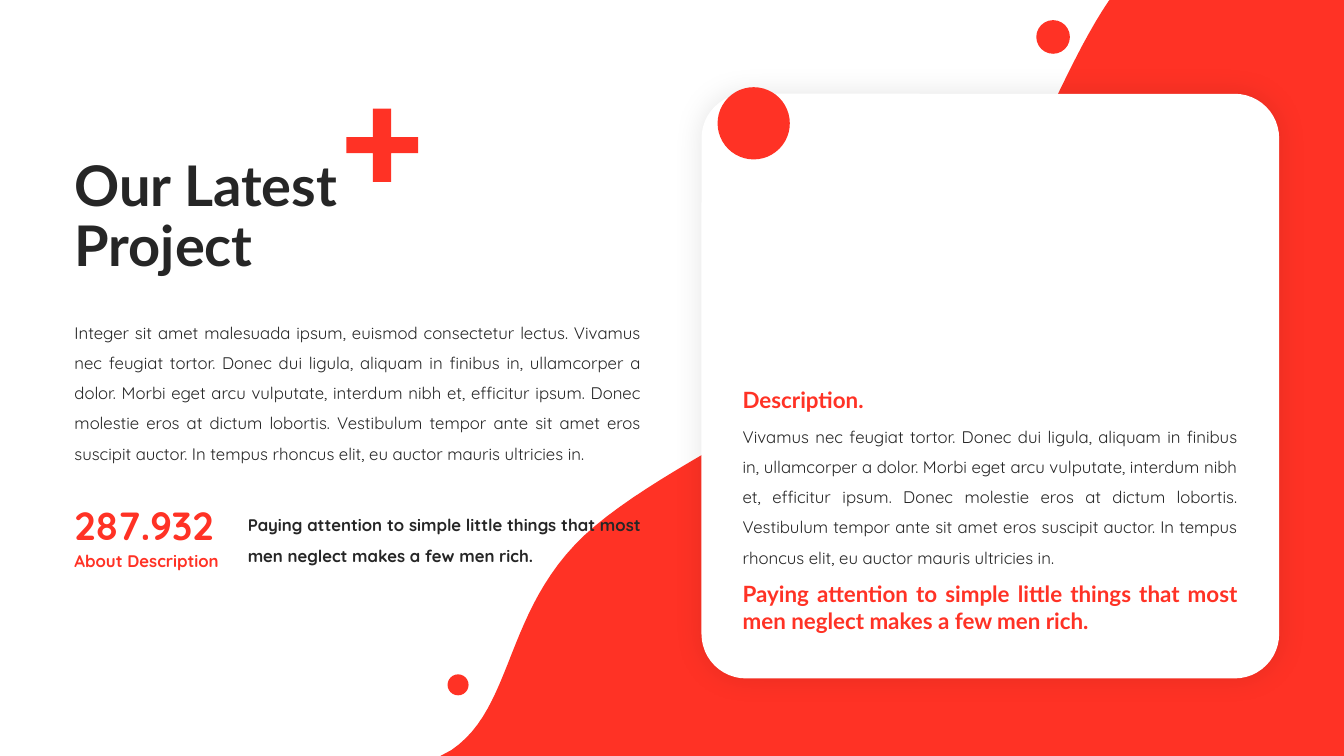
from dataclasses import dataclass, field

from lxml import etree
from pptx import Presentation, util as u
from pptx.dml.color import RGBColor
from pptx.enum import shapes, text
from pptx.oxml import ns

RED, INK, WHITE = "FF3225", "262626", "FFFFFF"
HEADING, BODY = "Lato", "Quicksand"
CURVE_STEPS = 24

QUOTE = "Paying attention to simple little things that most men neglect makes a few men rich."
LOREM = (
    "Vivamus nec feugiat tortor. Donec dui ligula, aliquam in finibus in, "
    "ullamcorper a dolor. Morbi eget arcu vulputate, interdum nibh et, efficitur ipsum. "
    "Donec molestie eros at dictum lobortis. Vestibulum tempor ante sit amet eros suscipit "
    "auctor. In tempus rhoncus elit, eu auctor mauris ultricies in."
)
INTRO = "Integer sit amet malesuada ipsum, euismod consectetur lectus. " + LOREM

Point = tuple[float, float]


@dataclass(frozen=True)
class Dot:
    left: float
    top: float
    size: float


@dataclass(frozen=True)
class Label:
    words: str
    left: float
    top: float
    width: float
    height: float
    style: dict = field(default_factory=dict)


DOTS = [Dot(740.2, 14.4, 24), Dot(319.7, 481.7, 15), Dot(512.6, 62.3, 51.6)]

CARD_HEADING = dict(font=HEADING, size=16, color=RED, bold=True)
PARAGRAPH = dict(justify=True, spacing=1.5)
FIGURE = dict(color=RED, bold=True, justify=True, middle=True)

LABELS = [
    Label("Description.", 523.4, 272.2, 186.5, 26.6, CARD_HEADING | dict(middle=True)),
    Label(LOREM, 523.4, 293.8, 367.9, 113.8, PARAGRAPH),
    Label(QUOTE, 523.4, 411.1, 367.9, 46.1, CARD_HEADING | dict(justify=True)),
    Label(INTRO, 46.1, 219.6, 419, 116.6, PARAGRAPH),
    Label("About Description", 46.1, 389.5, 123.8, 21.6, FIGURE),
    Label("287.932", 46.1, 354.2, 165.6, 41, FIGURE | dict(size=28)),
    Label(QUOTE, 169.9, 357.1, 295.2, 51.1, PARAGRAPH | dict(bold=True)),
    Label("Our Latest Project", 46.1, 103.7, 332.6, 104.4,
          dict(font=HEADING, size=40, bold=True, middle=True, spacing=0.9, grow=False)),
]


def rgb(color: str) -> RGBColor:
    return RGBColor.from_string(color)


def paint(shape, color: str) -> None:
    """Give a shape a plain fill with no line and no shadow."""
    shape.shadow.inherit = False
    shape.fill.solid()
    shape.fill.fore_color.rgb = rgb(color)
    shape.line.fill.background()


def curve(start: Point, control_1: Point, control_2: Point, end: Point) -> list[Point]:
    """Sample a cubic Bézier, leaving out its start point."""
    points = []
    for step in range(1, CURVE_STEPS + 1):
        t = step / CURVE_STEPS
        weights = ((1 - t) ** 3, 3 * t * (1 - t) ** 2, 3 * t**2 * (1 - t), t**3)
        corners = (start, control_1, control_2, end)
        points.append(tuple(sum(w * c[axis] for w, c in zip(weights, corners))
                            for axis in (0, 1)))
    return points


def add_outline(page, points: list[Point], color: str) -> None:
    first, *rest = [(u.Pt(x), u.Pt(y)) for x, y in points]
    builder = page.shapes.build_freeform(*first)
    builder.add_line_segments(rest, close=True)
    paint(builder.convert_to_shape(), color)


def add_wave(page) -> None:
    foot, middle, bend, top = (322.6, 535.7), (417.6, 382.3), (669.6, 212.4), (792, 0.7)
    points = [(792.7, 0), (960, 0), (960, 540), (314.6, 540), foot]
    points += curve(foot, (367.2, 505.4), (360, 436.3), middle)
    points += curve(middle, (475.9, 328.3), (601.9, 280.8), bend)
    points += curve(bend, (723.6, 156.2), (753.8, 56.9), top)
    add_outline(page, points, RED)


def add_plus(page) -> None:
    x1, x2, x3, x4 = 247.5, 266.4, 279.4, 298.6
    y1, y2, y3, y4 = 77.6, 97.9, 109.4, 129.9
    add_outline(page, [(x2, y1), (x3, y1), (x3, y2), (x4, y2), (x4, y3), (x3, y3),
                       (x3, y4), (x2, y4), (x2, y3), (x1, y3), (x1, y2), (x2, y2)], RED)


def add_card(page) -> None:
    """Draw the white rounded panel with its soft shadow."""
    card = page.shapes.add_shape(shapes.MSO_SHAPE.ROUNDED_RECTANGLE,
                                 u.Pt(501.1), u.Pt(67), u.Pt(412.6), u.Pt(417.6))
    card.adjustments[0] = 0.077
    paint(card, WHITE)
    effects = card._element.spPr.find(ns.qn("a:effectLst"))
    shadow = etree.SubElement(effects, ns.qn("a:outerShdw"), blurRad=str(u.Pt(20)),
                              dist="0", dir="0", algn="ctr", rotWithShape="0")
    tone = etree.SubElement(shadow, ns.qn("a:srgbClr"), val="000000")
    etree.SubElement(tone, ns.qn("a:alpha"), val="10000")


def add_dot(page, dot: Dot) -> None:
    size = u.Pt(dot.size)
    paint(page.shapes.add_shape(shapes.MSO_SHAPE.OVAL, u.Pt(dot.left), u.Pt(dot.top),
                                size, size), RED)


def add_text(page, words: str, *, left: float, top: float, width: float, height: float,
             font: str = BODY, size: float = 12, color: str = INK, bold: bool = False,
             justify: bool = False, middle: bool = False, spacing: float = 1.0,
             grow: bool = True) -> None:
    box = page.shapes.add_textbox(u.Pt(left), u.Pt(top), u.Pt(width), u.Pt(height))
    frame = box.text_frame
    frame.word_wrap = True
    frame.auto_size = (text.MSO_AUTO_SIZE.SHAPE_TO_FIT_TEXT if grow
                       else text.MSO_AUTO_SIZE.NONE)
    frame.vertical_anchor = text.MSO_ANCHOR.MIDDLE if middle else text.MSO_ANCHOR.TOP
    para = frame.paragraphs[0]
    para.alignment = text.PP_ALIGN.JUSTIFY if justify else text.PP_ALIGN.LEFT
    para.line_spacing = spacing
    span = para.add_run()
    span.text = words
    span.font.name = font
    span.font.size = u.Pt(size)
    span.font.bold = bold
    span.font.color.rgb = rgb(color)


def main() -> None:
    deck = Presentation()
    deck.slide_width, deck.slide_height = u.Pt(960), u.Pt(540)
    page = deck.slides.add_slide(deck.slide_layouts[6])
    page.background.fill.solid()
    page.background.fill.fore_color.rgb = rgb(WHITE)
    add_wave(page)
    add_plus(page)
    add_card(page)
    for label in LABELS:
        add_text(page, label.words, left=label.left, top=label.top,
                 width=label.width, height=label.height, **label.style)
    for dot in DOTS:
        add_dot(page, dot)
    deck.save("out.pptx")


if __name__ == "__main__":
    main()
